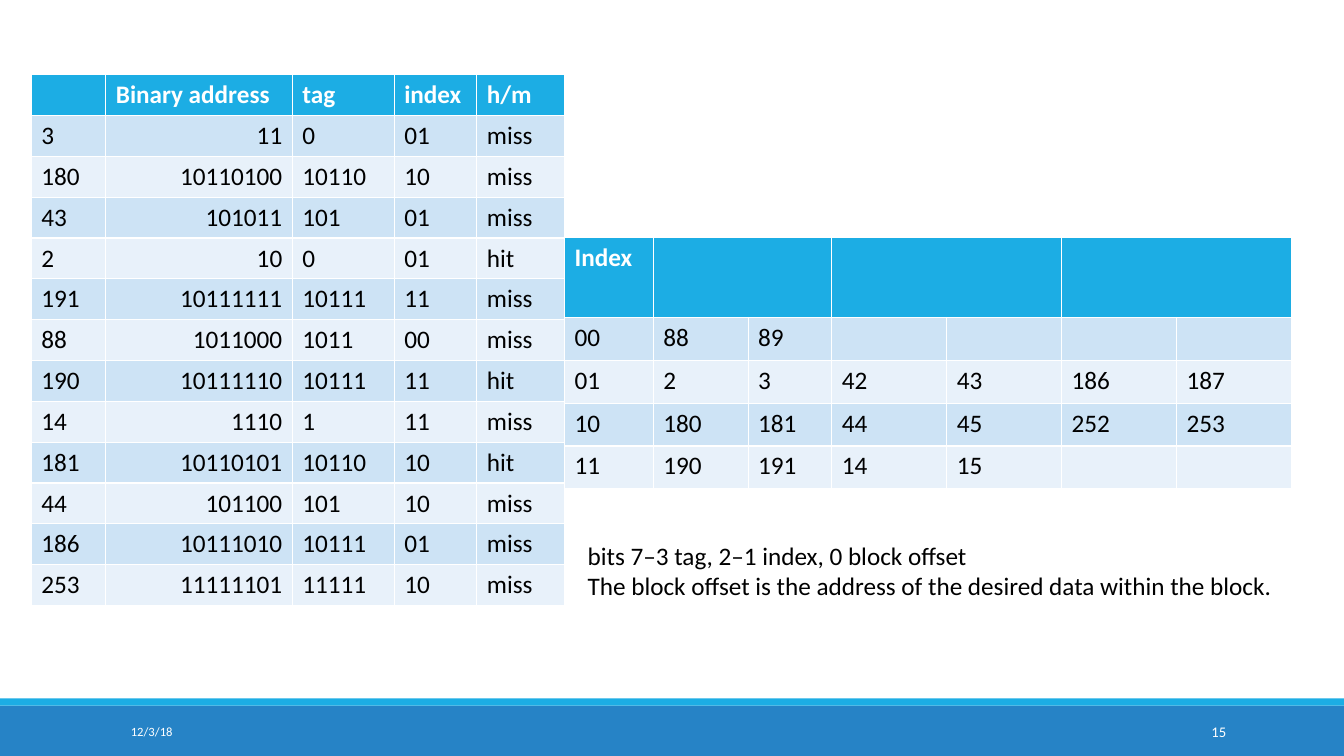
from pptx import Presentation
from pptx.dml.color import RGBColor
from pptx.enum.shapes import MSO_SHAPE
from pptx.enum.text import MSO_ANCHOR, PP_ALIGN
from pptx.util import Inches, Pt

CYAN, BLUE, WHITE, BLACK = "1CADE4", "2683C6", "FFFFFF", "000000"
BANDS = ["E8F1FA", "CDE3F5"]


def write(frame, text, size=18, color=BLACK, bold=False, align=PP_ALIGN.LEFT):
    frame.text = text
    look = {"name": "Calibri", "size": Pt(size), "bold": bold}
    for para in frame.paragraphs:
        para.alignment = align
        for key, value in look.items():
            setattr(para.font, key, value)
        para.font.color.rgb = RGBColor.from_string(color)


def add_grid(rows, spot, widths, heights, right=()):
    """Add a banded table; columns listed in right are right-aligned below the header."""
    box = [Inches(n) for n in (*spot, sum(widths), sum(heights))]
    table = slide.shapes.add_table(len(rows), len(widths), *box).table
    for col, width in zip(table.columns, widths):
        col.width = Inches(width)
    for row, height in zip(table.rows, heights):
        row.height = Inches(height)
    for r, row in enumerate(rows):
        head = r == 0
        for c, text in enumerate(row):
            cell = table.cell(r, c)
            cell.fill.solid()
            cell.fill.fore_color.rgb = RGBColor.from_string(CYAN if head else BANDS[r % 2])
            align = PP_ALIGN.RIGHT if c in right and not head else PP_ALIGN.LEFT
            write(cell.text_frame, text, color=WHITE if head else BLACK, bold=head, align=align)
    return table


deck = Presentation()
deck.slide_width, deck.slide_height = Inches(13.33), Inches(7.5)
slide = deck.slides.add_slide(deck.slide_layouts[6])

# Footer bars
for top, height, color in [(7, 0.5, BLUE), (6.93, 0.07, CYAN)]:
    bar = slide.shapes.add_shape(MSO_SHAPE.RECTANGLE, 0, Inches(top), deck.slide_width, Inches(height))
    bar.shadow.inherit = False
    bar.fill.solid()
    bar.fill.fore_color.rgb = RGBColor.from_string(color)
    bar.line.fill.background()

# Date, slide number and note on the address bits
note = (
    "bits 7–3 tag, 2–1 index, 0 block offset\n"
    "The block offset is the address of the desired data within the block."
)
labels = [
    ("12/3/18", (1.2, 7.06, 2.7, 0.4), 9, WHITE, PP_ALIGN.LEFT, MSO_ANCHOR.MIDDLE, True),
    ("15", (10.83, 7.06, 1.43, 0.4), 10.5, WHITE, PP_ALIGN.RIGHT, MSO_ANCHOR.MIDDLE, True),
    (note, (5.73, 5.31, 7.07, 0.71), 18, BLACK, PP_ALIGN.LEFT, MSO_ANCHOR.TOP, False),
]
for text, box, size, color, align, anchor, wrap in labels:
    frame = slide.shapes.add_textbox(*[Inches(n) for n in box]).text_frame
    frame.word_wrap = wrap
    frame.vertical_anchor = anchor
    write(frame, text, size, color, align=align)

# Address trace: bits 7–3 are the tag, bits 2–1 the index
trace = [3, 180, 43, 2, 191, 88, 190, 14, 181, 44, 186, 253]
hits = {2, 190, 181}
rows = [["", "Binary address", "tag", "index", "h/m"]]
for n in trace:
    result = "hit" if n in hits else "miss"
    rows.append([str(n), f"{n:b}", f"{n >> 3:b}", f"{n >> 1 & 3:02b}", result])
add_grid(rows, (0.31, 0.74), [0.74, 1.85, 1.01, 0.82, 0.87], [5.27 / 13] * 13, right=[1])

# Final cache contents, two words per block in three ways
cache = [
    ["Index", "", "", "", "", "", ""],
    ["00", "88", "89", "", "", "", ""],
    ["01", "2", "3", "42", "43", "186", "187"],
    ["10", "180", "181", "44", "45", "252", "253"],
    ["11", "190", "191", "14", "15", "", ""],
]
ways = add_grid(cache, (5.6, 2.36), [0.88, 0.94, 0.83] + [1.14] * 4, [0.79] + [0.425] * 4)
for c in (1, 3, 5):
    ways.cell(0, c).merge(ways.cell(0, c + 1))

deck.save("out.pptx")
